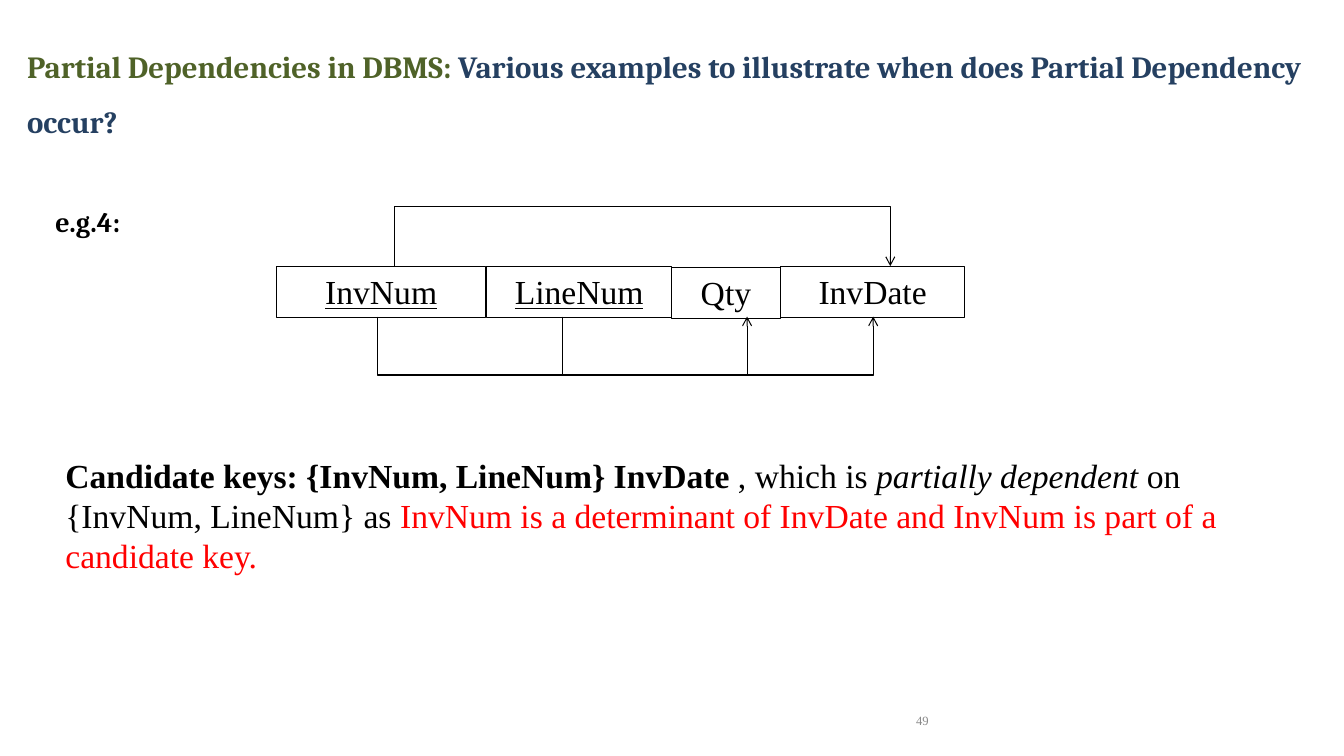
from dataclasses import dataclass

from lxml import etree
from pptx import Presentation
from pptx import util as u
from pptx.dml.color import RGBColor
from pptx.enum import shapes, text
from pptx.oxml.ns import qn

PX = 9144
BLACK = RGBColor(0x00, 0x00, 0x00)
GREY = RGBColor(0x89, 0x89, 0x89)
RED = RGBColor(0xFF, 0x00, 0x00)
GREEN = RGBColor(0x4F, 0x62, 0x28)
NAVY = RGBColor(0x25, 0x40, 0x61)
SERIF = "Times New Roman"
HEADING = "Cambria"
LINE_WIDTH = u.Pt(0.75)


@dataclass(frozen=True)
class Run:
    words: str
    color: RGBColor = BLACK
    bold: bool = False
    italic: bool = False


@dataclass(frozen=True)
class Label:
    left: int
    top: int
    width: int
    height: int
    runs: tuple[Run, ...]
    size: int
    font: str = SERIF
    align: text.PP_ALIGN = text.PP_ALIGN.LEFT
    anchor: text.MSO_ANCHOR = text.MSO_ANCHOR.TOP
    spacing: float = 1.0
    inset: bool = True


@dataclass(frozen=True)
class Attribute:
    name: str
    left: int
    top: int
    width: int
    is_key: bool = False


@dataclass(frozen=True)
class Dependency:
    start: int
    end: int
    edge: int
    level: int


ROW_TOP, ROW_HEIGHT = 264, 51
BELOW_EDGE, BELOW_LEVEL = 314, 372

ATTRIBUTES = (
    Attribute("InvNum", 274, ROW_TOP, 208, True),
    Attribute("LineNum", 483, ROW_TOP, 183, True),
    Attribute("Qty", 666, ROW_TOP + 1, 108),
    Attribute("InvDate", 774, ROW_TOP, 183),
)
DEPENDENCIES = (
    Dependency(558, 741, BELOW_EDGE, BELOW_LEVEL),
    Dependency(374, 866, BELOW_EDGE, BELOW_LEVEL),
    Dependency(391, 883, ROW_TOP, 205),
)
LABELS = (
    Label(706, 695, 225, 40, (Run("49", GREY),), 9,
          align=text.PP_ALIGN.RIGHT, anchor=text.MSO_ANCHOR.MIDDLE),
    Label(55, 446, 1189, 131, (
        Run("Candidate keys: {InvNum, LineNum} InvDate ", bold=True),
        Run(", which is "),
        Run("partially dependent", italic=True),
        Run(" on {InvNum, LineNum} as "),
        Run("InvNum is a determinant of InvDate and InvNum is part of a candidate key.", RED),
    ), 24),
    Label(27, 29, 1279, 104, (
        Run("Partial Dependencies in DBMS: ", GREEN, bold=True),
        Run("Various examples to illustrate when does Partial Dependency occur?", NAVY, bold=True),
    ), 22, HEADING, spacing=1.5, inset=False),
    Label(45, 198, 102, 44, (Run("e.g.4:", bold=True),), 20, HEADING),
)


def px(*lengths: int) -> list[u.Emu]:
    return [u.Emu(length * PX) for length in lengths]


def outline(shape) -> None:
    shape.shadow.inherit = False
    shape.fill.background()
    shape.line.color.rgb = BLACK
    shape.line.width = LINE_WIDTH


def draw_attribute(slide, attribute: Attribute) -> None:
    shape = slide.shapes.add_shape(
        shapes.MSO_SHAPE.RECTANGLE,
        *px(attribute.left, attribute.top, attribute.width, ROW_HEIGHT))
    outline(shape)
    frame = shape.text_frame
    frame.vertical_anchor = text.MSO_ANCHOR.TOP
    frame.auto_size = text.MSO_AUTO_SIZE.SHAPE_TO_FIT_TEXT
    paragraph = frame.paragraphs[0]
    paragraph.text = attribute.name
    paragraph.alignment = text.PP_ALIGN.CENTER
    paragraph.font.name = SERIF
    paragraph.font.size = u.Pt(24)
    paragraph.font.color.rgb = BLACK
    paragraph.font.underline = attribute.is_key


def draw_dependency(slide, dependency: Dependency) -> None:
    builder = slide.shapes.build_freeform(dependency.start, dependency.edge, scale=PX)
    builder.add_line_segments((
        (dependency.start, dependency.level),
        (dependency.end, dependency.level),
        (dependency.end, dependency.edge),
    ), close=False)
    shape = builder.convert_to_shape()
    outline(shape)
    etree.SubElement(shape.line._get_or_add_ln(), qn("a:tailEnd"), type="arrow")


def draw_label(slide, label: Label) -> None:
    frame = slide.shapes.add_textbox(
        *px(label.left, label.top, label.width, label.height)).text_frame
    frame.word_wrap = True
    frame.auto_size = text.MSO_AUTO_SIZE.SHAPE_TO_FIT_TEXT
    frame.vertical_anchor = label.anchor
    if not label.inset:
        frame.margin_left = frame.margin_right = 0
        frame.margin_top = frame.margin_bottom = 0
    paragraph = frame.paragraphs[0]
    paragraph.alignment = label.align
    paragraph.line_spacing = label.spacing
    paragraph.font.name = label.font
    paragraph.font.size = u.Pt(label.size)
    for part in label.runs:
        run = paragraph.add_run()
        run.text = part.words
        run.font.color.rgb = part.color
        run.font.bold = part.bold
        run.font.italic = part.italic


def main() -> None:
    presentation = Presentation()
    presentation.slide_width, presentation.slide_height = px(1333, 750)
    slide = presentation.slides.add_slide(presentation.slide_layouts[6])
    for attribute in ATTRIBUTES:
        draw_attribute(slide, attribute)
    for dependency in DEPENDENCIES:
        draw_dependency(slide, dependency)
    for label in LABELS:
        draw_label(slide, label)
    presentation.save("out.pptx")


if __name__ == "__main__":
    main()
